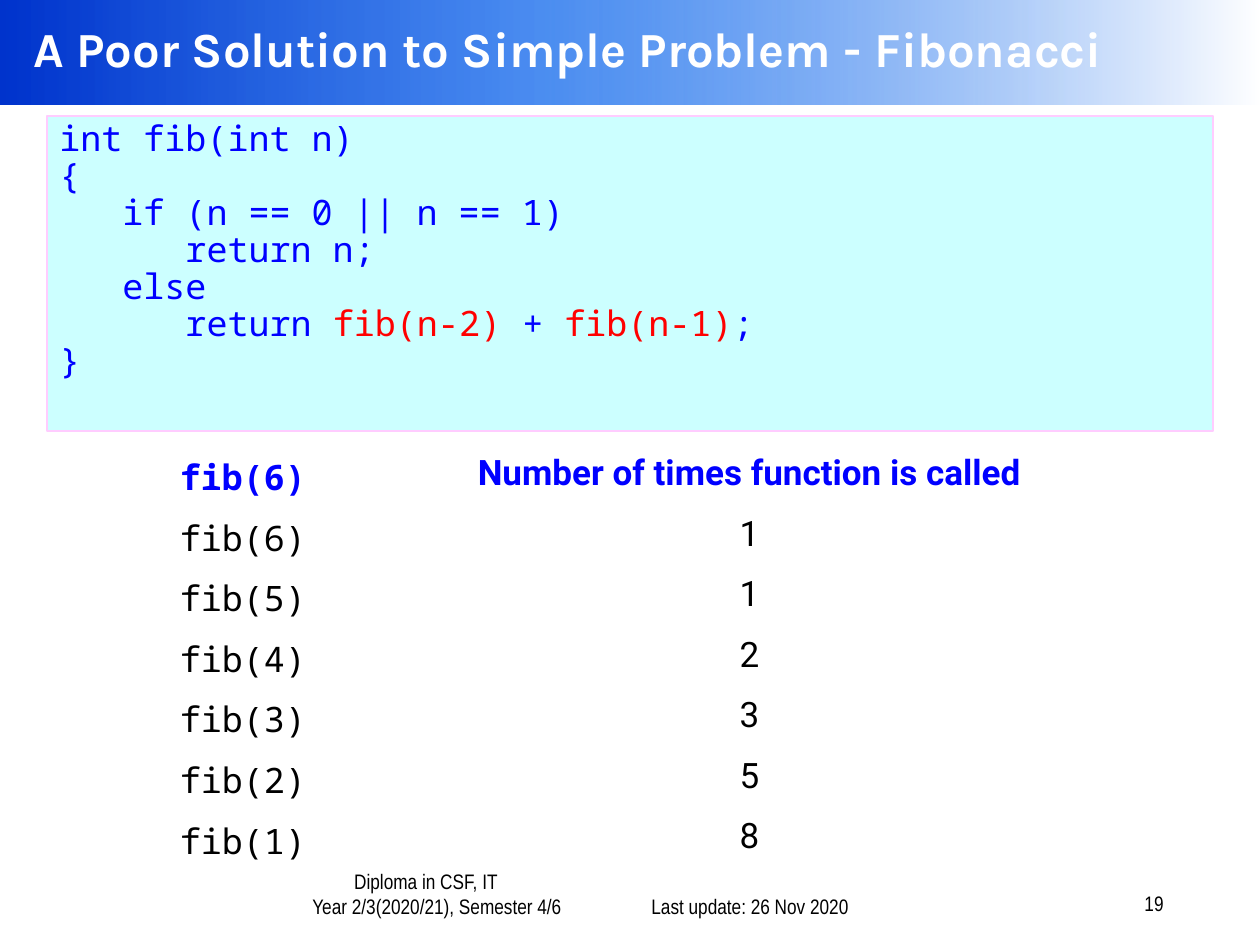
"""Build the Fibonacci slide: code panel, call count table and footer."""
from dataclasses import dataclass

from pptx import Presentation
from pptx.dml.color import RGBColor
from pptx.enum.shapes import MSO_SHAPE
from pptx.enum.text import MSO_ANCHOR, MSO_AUTO_SIZE, PP_ALIGN
from pptx.oxml import parse_xml
from pptx.oxml.ns import nsdecls, qn
from pptx.util import Emu, Pt

RECT = MSO_SHAPE.RECTANGLE
LEFT, MID, RIGHT = PP_ALIGN.LEFT, PP_ALIGN.CENTER, PP_ALIGN.RIGHT
TOP, MIDDLE, BOTTOM = MSO_ANCHOR.TOP, MSO_ANCHOR.MIDDLE, MSO_ANCHOR.BOTTOM
NO_FIT = MSO_AUTO_SIZE.NONE


@dataclass(frozen=True)
class Theme:
    """Colours, fonts and type sizes."""
    white: str = "FFFFFF"
    black: str = "000000"
    blue: str = "0000FF"
    red: str = "FF0000"
    panel: str = "CCFFFF"
    edge: str = "FFCCFF"
    deep: str = "0033CC"
    bright: str = "005EEB"
    head: str = "Karla"
    mono: str = "Noto Sans Mono"
    sans: str = "Roboto"
    narrow: str = "Arial Narrow"
    big: int = 28
    body: int = 20
    small: int = 12


@dataclass(frozen=True)
class Box:
    """A place on the slide in px."""
    x: int
    y: int
    w: int
    h: int


@dataclass(frozen=True)
class Note:
    """A footer text with a left indent in px for each line."""
    box: Box
    lines: tuple
    align: PP_ALIGN
    dents: tuple = (0,)


THEME = Theme()
TITLE = "A Poor Solution to Simple Problem - Fibonacci"
CODE = (
    ("int fib(int n)",),
    ("{",),
    ("   if (n == 0 || n == 1)",),
    ("      return n;",),
    ("   else",),
    ("      return ", "fib(n-2) ", "+ ", "fib(n-1)", ";"),
    ("}",),
)
CALLS = (
    ("fib(6)", "Number of times function is called"),
    ("fib(6)", "1"),
    ("fib(5)", "1"),
    ("fib(4)", "2"),
    ("fib(3)", "3"),
    ("fib(2)", "5"),
    ("fib(1)", "8"),
)
WIDTHS = (392, 621, 152)
ROW = 55
NOTES = (
    Note(Box(212, 872, 365, 53),
         ("Diploma in CSF, IT", "Year 2/3(2020/21), Semester 4/6"),
         MID, (63, 85)),
    Note(Box(599, 872, 262, 53), ("Last update: 26 Nov 2020",), RIGHT),
    Note(Box(914, 869, 262, 53), ("19",), RIGHT),
)


def px(num: int) -> Emu:
    """Turn px into EMU."""
    return Emu(round(num * 914400 / 126))


def spot(box: Box) -> tuple:
    """Give the four lengths of a box in EMU."""
    return px(box.x), px(box.y), px(box.w), px(box.h)


def tint(code: str) -> RGBColor:
    """Turn a hex code into a colour."""
    return RGBColor.from_string(code)


def style(para, face: str, size: int, hue: str, bold: bool = False) -> None:
    """Set the font of a paragraph."""
    font = para.font
    font.name, font.size, font.bold = face, Pt(size), bold
    font.color.rgb = tint(hue)


def draw_bar(slide, box: Box) -> None:
    """Draw the fading title bar."""
    bar = slide.shapes.add_shape(RECT, *spot(box))
    bar.shadow.inherit = False
    bar.line.fill.background()
    bar.fill.gradient()
    bar.fill.gradient_angle = 0
    stops = bar._element.spPr.find(qn("a:gradFill")).find(qn("a:gsLst"))
    stops.getparent().replace(stops, parse_xml(
        f'<a:gsLst {nsdecls("a")}>'
        f'<a:gs pos="0"><a:srgbClr val="{THEME.deep}"/></a:gs>'
        f'<a:gs pos="43000"><a:srgbClr val="{THEME.bright}">'
        '<a:alpha val="70000"/></a:srgbClr></a:gs>'
        f'<a:gs pos="100000"><a:srgbClr val="{THEME.white}"/></a:gs>'
        '</a:gsLst>'))


def draw_title(slide, box: Box) -> None:
    """Place the title in front of the bar."""
    title = slide.shapes.title
    title.left, title.top, title.width, title.height = spot(box)
    slide.shapes._spTree.append(title._element)
    frame = title.text_frame
    frame.text = TITLE
    frame.auto_size, frame.vertical_anchor = NO_FIT, MIDDLE
    para = frame.paragraphs[0]
    para.alignment = LEFT
    style(para, THEME.head, THEME.big, THEME.white, True)


def draw_code(slide, box: Box) -> None:
    """Draw the code panel, with every second piece of a line in red."""
    panel = slide.shapes.add_shape(RECT, *spot(box))
    panel.shadow.inherit = False
    panel.fill.solid()
    panel.fill.fore_color.rgb = tint(THEME.panel)
    panel.line.color.rgb = tint(THEME.edge)
    panel.line.width = Pt(0.75)
    frame = panel.text_frame
    frame.word_wrap, frame.vertical_anchor = True, TOP
    for row, line in enumerate(CODE):
        para = frame.add_paragraph() if row else frame.paragraphs[0]
        para.alignment, para.line_spacing = LEFT, 0.88
        style(para, THEME.mono, THEME.body, THEME.blue)
        for col, part in enumerate(line):
            run = para.add_run()
            run.text = part
            run.font.color.rgb = tint(THEME.red if col % 2 else THEME.blue)


def draw_calls(slide, x: int, y: int) -> None:
    """Draw the table of call counts."""
    box = Box(x, y, sum(WIDTHS), ROW * len(CALLS))
    table = slide.shapes.add_table(len(CALLS), len(WIDTHS), *spot(box)).table
    for col, wide in zip(table.columns, WIDTHS):
        col.width = px(wide)
    for row, texts in enumerate(CALLS):
        hue = THEME.black if row else THEME.blue
        for cell in table.rows[row].cells:
            cell.fill.solid()
            cell.fill.fore_color.rgb = tint(THEME.white)
        for col, face in enumerate((THEME.mono, THEME.sans)):
            cell = table.cell(row, col)
            cell.text = texts[col]
            para = cell.text_frame.paragraphs[0]
            para.alignment = MID
            style(para, face, THEME.body, hue, row == 0)


def draw_note(slide, note: Note) -> None:
    """Draw one footer text."""
    frame = slide.shapes.add_textbox(*spot(note.box)).text_frame
    frame.word_wrap, frame.vertical_anchor = True, BOTTOM
    frame.text = "\n".join(note.lines)
    for para, dent in zip(frame.paragraphs, note.dents):
        para.alignment = note.align
        para._p.get_or_add_pPr().set("marL", str(px(dent)))
        style(para, THEME.narrow, THEME.small, THEME.black)


def main() -> None:
    """Build and save the slide."""
    deck = Presentation()
    deck.slide_width, deck.slide_height = px(1260), px(945)
    slide = deck.slides.add_slide(deck.slide_layouts[5])
    draw_bar(slide, Box(0, 0, 1260, 105))
    for note in NOTES:
        draw_note(slide, note)
    draw_title(slide, Box(21, 0, 1239, 95))
    draw_code(slide, Box(47, 116, 1166, 315))
    draw_calls(slide, 47, 447)
    deck.save("out.pptx")


if __name__ == "__main__":
    main()
